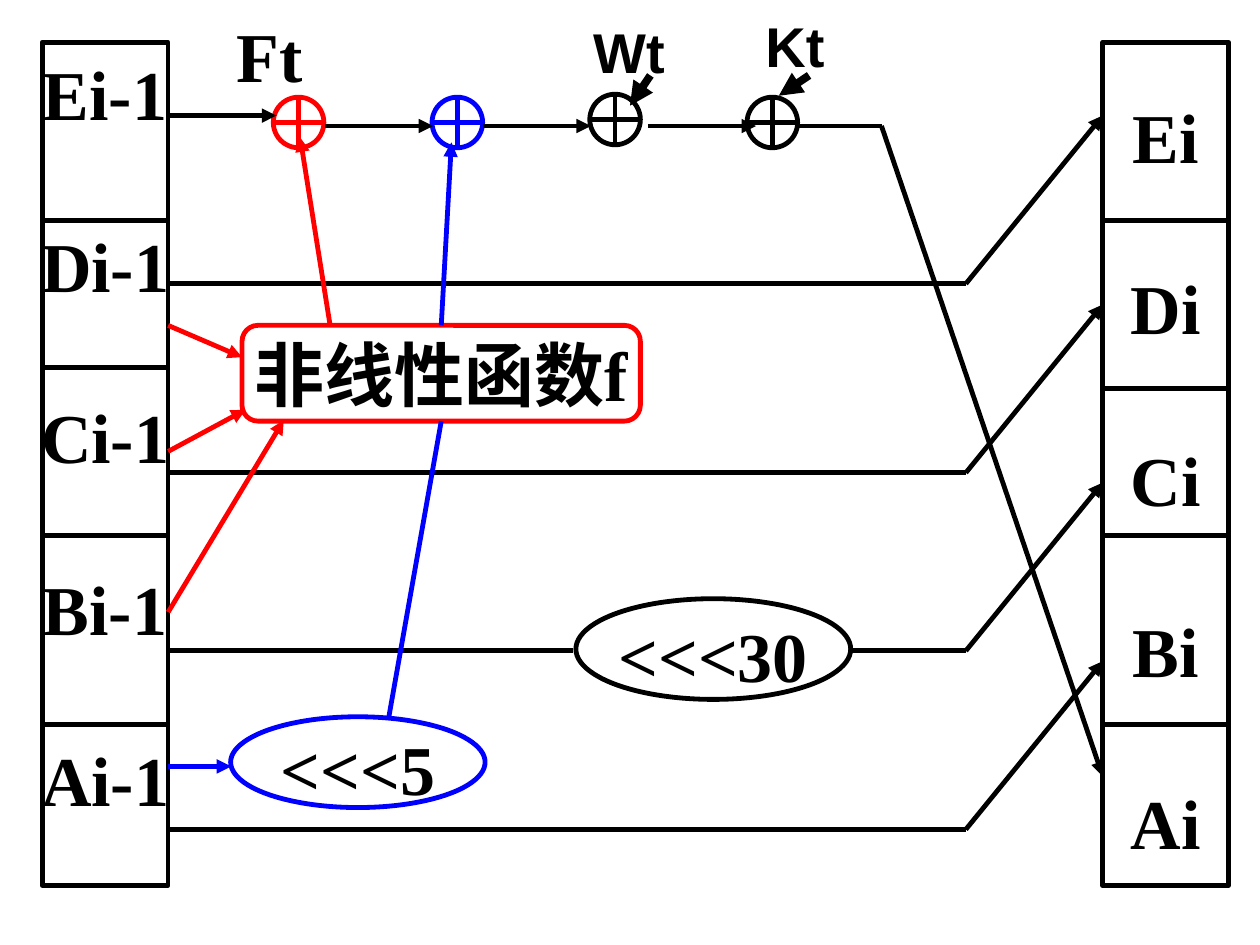
from lxml import etree
from pptx import Presentation
from pptx.dml.color import RGBColor
from pptx.enum.shapes import MSO_CONNECTOR, MSO_SHAPE
from pptx.enum.text import MSO_ANCHOR, PP_ALIGN
from pptx.oxml.ns import qn
from pptx.util import Cm, Pt

BLACK = RGBColor(0, 0, 0)
WHITE = RGBColor(255, 255, 255)
RED = RGBColor(255, 0, 0)
BLUE = RGBColor(0, 0, 255)
STRAIGHT = MSO_CONNECTOR.STRAIGHT
RECT, ROUNDED = MSO_SHAPE.RECTANGLE, MSO_SHAPE.ROUNDED_RECTANGLE
OVAL, XOR = MSO_SHAPE.OVAL, MSO_SHAPE.FLOWCHART_OR
TOP, MIDDLE = MSO_ANCHOR.TOP, MSO_ANCHOR.MIDDLE
CENTER = PP_ALIGN.CENTER
SERIF, SANS = "Times New Roman", "Arial"

INPUT_LEFT, OUTPUT_LEFT = 0.85, 22.23
REGISTER_WIDTH = 2.54
INPUT_EDGE = INPUT_LEFT + REGISTER_WIDTH
BEND = 19.47
RISE = 3.39
WIRE_Y = 2.54


def style_text(paragraph, size=40, font=SERIF):
    """Format the runs of a paragraph as a bold black label."""
    for run in paragraph.runs:
        run.font.size = Pt(size)
        run.font.name = font
        run.font.bold = True
        run.font.color.rgb = BLACK


def add_node(slide, kind, box, color):
    """Add a white outlined shape."""
    node = slide.shapes.add_shape(kind, *map(Cm, box))
    node.shadow.inherit = False
    node.fill.solid()
    node.fill.fore_color.rgb = WHITE
    node.line.color.rgb = color
    node.line.width = Pt(2.75)
    return node


def add_operation(slide, kind, box, color, name, top_inset=0.13):
    """Add a shape with one centred label."""
    operation = add_node(slide, kind, box, color)
    frame = operation.text_frame
    frame.word_wrap = False
    frame.vertical_anchor = MIDDLE
    frame.margin_top, frame.margin_bottom = Cm(top_inset), Cm(0.13)
    frame.text = name
    frame.paragraphs[0].alignment = CENTER
    style_text(frame.paragraphs[0])
    return operation


def add_register(slide, left, names, top_inset, dividers):
    """Add a column of named words separated by horizontal lines."""
    register = add_node(slide, RECT, (left, 0.85, REGISTER_WIDTH, 17), BLACK)
    frame = register.text_frame
    frame.word_wrap = False
    frame.vertical_anchor = TOP
    frame.margin_top = Cm(top_inset)
    frame.text = "\n".join(names)
    for index, word in enumerate(frame.paragraphs):
        word.alignment = CENTER
        word.space_before = Pt(50 if index else 0)
        style_text(word)
    for y in dividers:
        add_wire(slide, (left, y), (left + REGISTER_WIDTH, y))


def add_wire(slide, start, end, color=BLACK, arrow=False, width=2.75):
    """Add a straight line, with an arrowhead at its end if asked."""
    wire = slide.shapes.add_connector(STRAIGHT, *map(Cm, (*start, *end)))
    wire.line.color.rgb = color
    wire.line.width = Pt(width)
    if arrow:
        etree.SubElement(wire.line._get_or_add_ln(), qn("a:tailEnd"), type="triangle")
    etree.SubElement(wire._element.spPr, qn("a:effectLst"))
    return wire


def add_label(slide, left, top, text, size, font):
    """Add a free-standing label."""
    label = slide.shapes.add_textbox(Cm(left), Cm(top), Cm(2.5), Cm(1.7))
    frame = label.text_frame
    frame.word_wrap = True
    frame.text = text
    style_text(frame.paragraphs[0], size, font)


def add_data_paths(slide):
    """Add the black wires that carry words from input to output."""
    for y in (5.72, 9.53, 16.72):
        add_wire(slide, (INPUT_EDGE, y), (BEND, y))
    add_wire(slide, (11.56, 13.12), (INPUT_EDGE, 13.12))
    add_wire(slide, (17.15, 13.12), (BEND, 13.12))
    for y in (16.72, 13.12, 9.53, 5.72):
        add_wire(slide, (BEND, y), (OUTPUT_LEFT, y - RISE), arrow=True)
    add_wire(slide, (INPUT_EDGE, 2.33), (5.57, 2.33), arrow=True)
    for x in (6.55, 9.73, 13.06):
        add_wire(slide, (x, WIRE_Y), (x + 2.18, WIRE_Y), arrow=True)
    add_wire(slide, (16.08, WIRE_Y), (17.77, WIRE_Y))
    add_wire(slide, (17.77, WIRE_Y), (OUTPUT_LEFT, 15.65), arrow=True)


def add_function_paths(slide, function):
    """Add the coloured wires around the nonlinear function and the rotation."""
    add_wire(slide, (6.65, 6.53), (6.05, 2.77), RED, True)
    for y, end in ((6.56, (4.88, 7.2)), (9.1, (4.95, 8.26)), (12.34, (5.72, 8.47))):
        add_wire(slide, (INPUT_EDGE, y), end, RED, True)
    add_wire(slide, (INPUT_EDGE, 15.45), (4.66, 15.45), BLUE, True)
    rotated = add_wire(slide, (7.83, 14.5), (8.84, 8.58), BLUE)
    rotated.end_connect(function, 2)
    summed = add_wire(slide, (8.89, 6.56), (9.1, 2.87), BLUE, True)
    summed.begin_connect(function, 0)


def main():
    """Build the slide of one compression round."""
    deck = Presentation()
    deck.slide_width, deck.slide_height = Cm(25.4), Cm(19.05)
    slide = deck.slides.add_slide(deck.slide_layouts[6])

    words = "EDCBA"
    add_register(slide, INPUT_LEFT, [f"{word}i-1" for word in words], 0.17,
                 (4.45, 7.41, 10.8, 14.6))
    add_register(slide, OUTPUT_LEFT, [f"{word}i" for word in words], 1.03,
                 (4.45, 7.83, 10.8, 14.6))
    for left, top, color in ((5.51, 1.96, RED), (8.71, 1.96, BLUE),
                             (11.89, 1.9, BLACK), (15.06, 1.96, BLACK)):
        add_node(slide, XOR, (left, top, 1.02, 1.02), color)
    function = add_operation(slide, ROUNDED, (4.88, 6.56, 8.03, 1.93), RED, "非线性函数f")
    add_operation(slide, OVAL, (11.61, 12.07, 5.54, 2.03), BLACK, "<<<30", 0.34)
    add_operation(slide, OVAL, (4.65, 14.45, 5.13, 1.83), BLUE, "<<<5", 0.34)

    add_data_paths(slide)
    add_function_paths(slide, function)
    add_wire(slide, (16.31, 1.52), (15.7, 1.93), arrow=True, width=4.5)
    add_wire(slide, (13.11, 1.52), (12.7, 2.13), arrow=True, width=4.5)
    add_label(slide, 4.52, 0.12, "Ft", 40, SERIF)
    add_label(slide, 11.71, 0.23, "Wt", 32, SANS)
    add_label(slide, 15.18, 0.1, "Kt", 32, SANS)
    deck.save("out.pptx")


if __name__ == "__main__":
    main()
